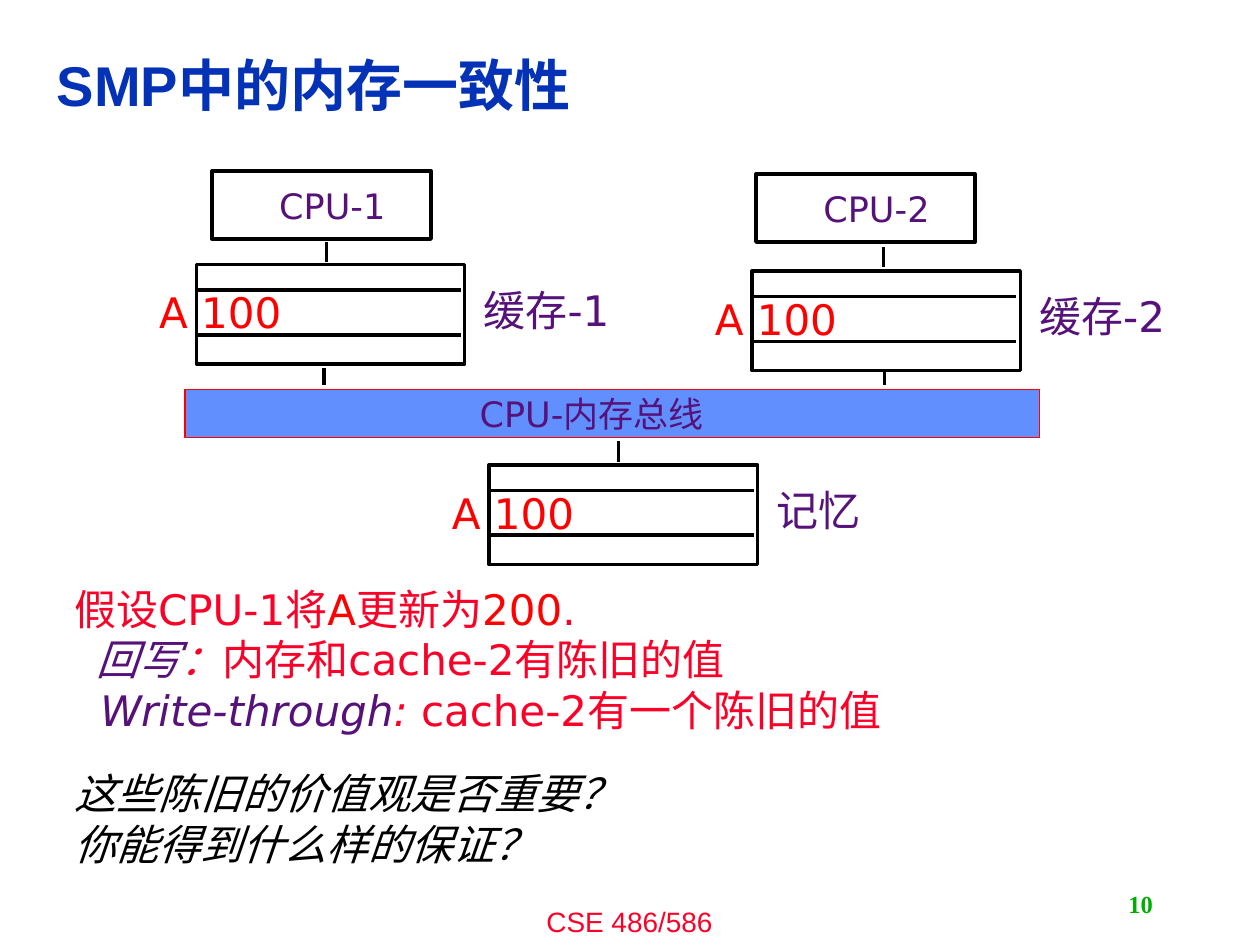
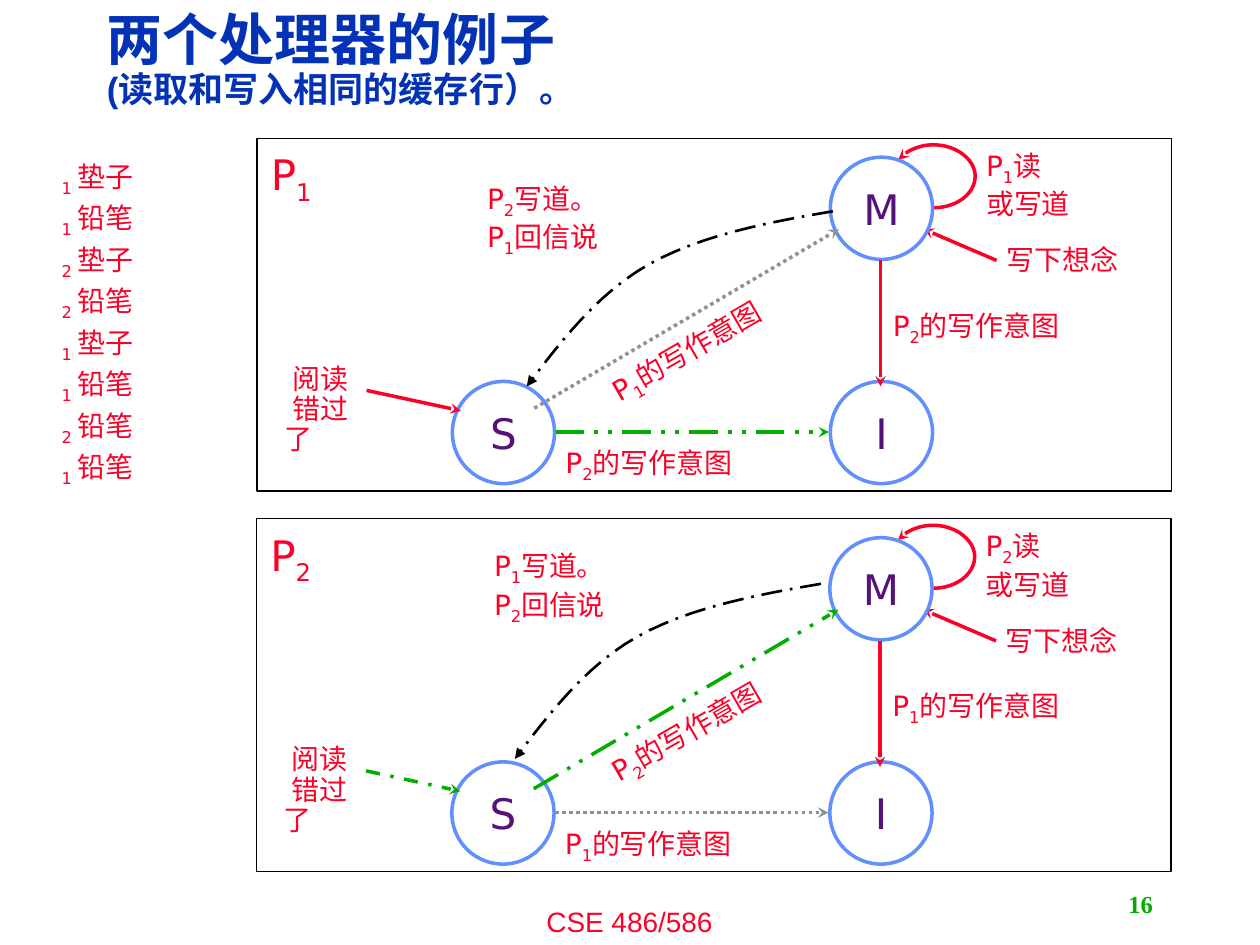
from dataclasses import dataclass

from lxml import etree
from pptx import Presentation
from pptx import util as u
from pptx.dml.color import RGBColor
from pptx.enum import dml, shapes, text
from pptx.oxml import ns


@dataclass(frozen=True)
class Theme:
    title: str = "0332B7"
    label: str = "56127A"
    accent: str = "FC0128"
    value: str = "FF0000"
    ink: str = "000000"
    paper: str = "FFFFFF"
    blue: str = "618FFD"
    green: str = "00AE00"
    grey: str = "919191"
    heading_font: str = "Arial"
    body_font: str = "DejaVu Sans"
    number_font: str = "Times New Roman"
    title_size: int = 32
    large: int = 24
    medium: int = 20
    small: int = 16
    number_size: int = 14
    heavy: float = 2
    medium_line: float = 1.5
    thin: float = 0.75


T = Theme()
DASH = dml.MSO_LINE


@dataclass(frozen=True)
class Stroke:
    color: str = T.ink
    width: float = T.heavy
    dash: object = None
    head: str = ""
    tail: str = ""


@dataclass(frozen=True)
class Processor:
    """One state diagram; the shifts move the write-back note and its arc."""
    own: int
    other: int
    left: float
    top: float
    read_miss: Stroke
    upgrade: Stroke
    invalidate: Stroke
    note_shift: tuple = (0, 0)
    arc_shift: tuple = (0, 0)


RED_ARROW = Stroke(T.accent, tail="stealth")
GREY_ARROW = Stroke(T.grey, dash=DASH.ROUND_DOT, tail="stealth")
GREEN_ARROW = Stroke(T.green, dash=DASH.DASH_DOT_DOT, tail="stealth")
GREEN_READ = Stroke(T.green, dash=DASH.DASH_DOT, tail="stealth")
BLACK_ARC = Stroke(T.ink, T.medium_line, DASH.LONG_DASH_DOT, tail="triangle")
RED_LOOP = Stroke(T.accent, head="stealth")

PROCESSORS = [
    Processor(1, 2, 5.18, 2.79, RED_ARROW, GREY_ARROW, GREEN_ARROW),
    Processor(2, 1, 5.17, 10.46, GREEN_READ, GREEN_ARROW, GREY_ARROW,
              note_shift=(0.15, -0.26), arc_shift=(-0.23, -0.16)),
]
ACCESSES = ["~1 ~垫子", "~1 ~铅笔", "~2 ~垫子", "~2 ~铅笔",
            "~1 ~垫子", "~1 ~铅笔", "~2 ~铅笔", "~1 ~铅笔"]
SELF_LOOP = [(12.93, 0.43), (13.08, 0.25), (13.36, 0.13), (13.64, 0.13),
             (14.1, 0.13), (14.48, 0.43), (14.48, 0.76),
             (14.48, 1.12), (14.1, 1.4), (13.64, 1.4)]
WRITE_BACK_ARC = [(11.61, 1.47), (10.26, 1.7), (8.94, 1.96), (7.9, 2.54),
                  (6.88, 3.12), (6.15, 4.06), (5.44, 5.0)]


def cm(*lengths):
    return [u.Cm(length) for length in lengths]


def style_run(run, size, color, font=T.body_font, bold=False, italic=False):
    run.font.size = u.Pt(size)
    run.font.name = font
    run.font.bold = bold
    run.font.italic = italic
    run.font.color.rgb = RGBColor.from_string(color)


def write(paragraph, markup, size, color, **style):
    """Write text in which ~n~ marks a subscript."""
    for index, piece in enumerate(markup.split("~")):
        if piece:
            run = paragraph.add_run()
            run.text = piece
            style_run(run, size, color, **style)
            if index % 2:
                run._r.get_or_add_rPr().set("baseline", "-25000")


def paragraphs(frame, count):
    return [frame.paragraphs[0]] + [frame.add_paragraph() for _ in range(count - 1)]


def label(slide, box, lines, size=T.small, color=T.accent, rotation=0,
          align=text.PP_ALIGN.LEFT, indent=0, spacing=None, **style):
    area = slide.shapes.add_textbox(*cm(*box))
    area.rotation = rotation
    frame = area.text_frame
    frame.word_wrap = True
    for paragraph, line in zip(paragraphs(frame, len(lines)), lines):
        paragraph.alignment = align
        paragraph.line_spacing = spacing
        if indent:
            paragraph._p.get_or_add_pPr().set("indent", str(u.Cm(indent)))
        write(paragraph, line, size, color, **style)
    return area


def apply_stroke(shape, stroke):
    shape.line.color.rgb = RGBColor.from_string(stroke.color)
    shape.line.width = u.Pt(stroke.width)
    if stroke.dash:
        shape.line.dash_style = stroke.dash
    outline = shape._element.spPr.find(ns.qn("a:ln"))
    for tag, kind in (("a:headEnd", stroke.head), ("a:tailEnd", stroke.tail)):
        if kind:
            etree.SubElement(outline, ns.qn(tag), type=kind)


def block(slide, kind, box, stroke=Stroke(), fill=None, caption="", size=T.large, inset=None):
    """Draw a shape; its caption is centred, or starts at the inset."""
    shape = slide.shapes.add_shape(kind, *cm(*box))
    shape.shadow.inherit = False
    if fill:
        shape.fill.solid()
        shape.fill.fore_color.rgb = RGBColor.from_string(fill)
    else:
        shape.fill.background()
    apply_stroke(shape, stroke)
    if caption:
        frame = shape.text_frame
        frame.margin_left = u.Cm(inset or 0)
        frame.margin_right = frame.margin_top = frame.margin_bottom = 0
        frame.vertical_anchor = text.MSO_ANCHOR.MIDDLE
        paragraph = frame.paragraphs[0]
        paragraph.alignment = text.PP_ALIGN.LEFT if inset else text.PP_ALIGN.CENTER
        write(paragraph, caption, size, T.label)


def link(slide, start, end, stroke=Stroke()):
    line = slide.shapes.add_connector(shapes.MSO_CONNECTOR.STRAIGHT, *cm(*start, *end))
    apply_stroke(line, stroke)
    etree.SubElement(line._element.spPr, ns.qn("a:effectLst"))


def bezier(points, steps=12):
    """Sample a chain of cubic curves that share their end points."""
    samples = [points[0]]
    for first in range(0, len(points) - 1, 3):
        a, b, c, d = points[first:first + 4]
        for step in range(1, steps + 1):
            t = step / steps
            weights = ((1 - t) ** 3, 3 * t * (1 - t) ** 2, 3 * t * t * (1 - t), t ** 3)
            samples.append(tuple(sum(w * p for w, p in zip(weights, axis))
                                 for axis in zip(a, b, c, d)))
    return samples


def curve(slide, points, stroke):
    start, *rest = [tuple(cm(*point)) for point in bezier(points)]
    builder = slide.shapes.build_freeform(*start)
    builder.add_line_segments(rest, close=False)
    shape = builder.convert_to_shape()
    shape.shadow.inherit = False
    shape.fill.background()
    apply_stroke(shape, stroke)


def place(placeholder, box):
    placeholder.left, placeholder.top, placeholder.width, placeholder.height = cm(*box)
    placeholder.text_frame.auto_size = text.MSO_AUTO_SIZE.NONE


def list_item(paragraph, indent=0):
    properties = paragraph._p.get_or_add_pPr()
    properties.set("marL", str(u.Cm(indent)))
    properties.set("indent", "0")
    etree.SubElement(properties, ns.qn("a:buNone"))
    paragraph.space_before = u.Pt(0)


def new_slide(deck, title, title_box, number, subtitle_size=T.title_size):
    slide = deck.slides.add_slide(deck.slide_layouts[1])
    heading = slide.shapes.title
    place(heading, title_box)
    heading.text_frame.vertical_anchor = text.MSO_ANCHOR.MIDDLE
    paragraph = heading.text_frame.paragraphs[0]
    paragraph.text = title
    paragraph.alignment = text.PP_ALIGN.LEFT
    paragraph.line_spacing = 0.9
    for run, size in zip(paragraph.runs, (T.title_size, subtitle_size)):
        style_run(run, size, T.title, T.heading_font, bold=True)
    label(slide, (8.46, 18.11, 8.46, 0.94), ["CSE 486/586"],
          align=text.PP_ALIGN.CENTER, font=T.heading_font)
    page = label(slide, (18.21, 17.81, 5.28, 0.81), [number], T.number_size, T.green,
                 align=text.PP_ALIGN.RIGHT, font=T.number_font, bold=True)
    page.text_frame.vertical_anchor = text.MSO_ANCHOR.MIDDLE
    return slide


def memory(slide, left, top, name):
    """Draw a store holding the line A, with its name on the right."""
    block(slide, shapes.MSO_SHAPE.RECTANGLE, (left, top, 5.41, 2.01))
    for offset in (0.52, 1.42):
        link(slide, (left, top + offset), (left + 5.33, top + offset))
    label(slide, (left - 1, top + 0.33, 4.65, 1.27), ["A 100"], T.large, T.value)
    label(slide, (left + 5.54, top + 0.28, 4, 1.27), [name], T.large, T.label)


def coherence_slide(deck):
    slide = new_slide(deck, "SMP中的内存一致性", (0.89, 0.84, 19.89, 1.9), "10")
    rectangle = shapes.MSO_SHAPE.RECTANGLE
    for left, top, name in ((4.27, 3.45, "CPU-1"), (15.24, 3.51, "CPU-2")):
        block(slide, rectangle, (left, top, 4.42, 1.37), caption=name, size=T.medium, inset=1.36)
    for left, top, name in ((3.96, 5.33, "缓存-1"), (15.16, 5.46, "缓存-2"),
                            (9.86, 9.37, "记忆")):
        memory(slide, left, top, name)
    block(slide, rectangle, (3.73, 7.85, 17.22, 0.97), Stroke(T.value, T.thin), T.blue,
          "CPU-内存总线", T.medium, inset=5.94)
    for x, top, bottom in ((6.58, 4.88, 5.28), (6.53, 7.42, 7.77), (17.81, 4.98, 5.38),
                           (17.83, 7.47, 7.77), (12.47, 8.89, 9.32)):
        link(slide, (x, top), (x, bottom))

    body = slide.placeholders[1]
    place(body, (1.24, 11.63, 23.52, 6.07))
    statements = [
        (0, 0, [("假设CPU-1将", T.accent, False), ("A", T.value, False),
                ("更新为", T.accent, False), ("200", T.value, False), (".", T.accent, False)]),
        (0.45, 0, [("回写", T.label, True), ("：", T.accent, True),
                   ("内存和cache-2有陈旧的值", T.accent, False)]),
        (0.53, 0, [("Write-through", T.label, True), (": ", T.accent, True),
                   ("cache-2有一个陈旧的值", T.accent, False)]),
        (0, 19, [("这些陈旧的价值观是否重要？", T.ink, True)]),
        (0, 0, [("你能得到什么样的保证？", T.ink, True)]),
    ]
    lines = paragraphs(body.text_frame, len(statements))
    for paragraph, (indent, gap, parts) in zip(lines, statements):
        list_item(paragraph, indent)
        paragraph.space_before = u.Pt(gap)
        for words, color, italic in parts:
            write(paragraph, words, T.large, color, italic=italic)


def state_diagram(slide, cpu):
    def at(x, y, *size):
        return (cpu.left + x, cpu.top + y, *size)

    def moved(points, shift=(0, 0)):
        return [at(x + shift[0], y + shift[1]) for x, y in points]

    block(slide, shapes.MSO_SHAPE.RECTANGLE, at(0, 0, 18.44, 7.11), Stroke(width=T.thin))
    curve(slide, moved(SELF_LOOP), RED_LOOP)
    link(slide, at(14.91, 2.46), at(13.44, 1.83), RED_ARROW)
    for state, x, y in (("M", 11.56, 0.38), ("S", 3.94, 4.9), ("I", 11.56, 4.9)):
        block(slide, shapes.MSO_SHAPE.OVAL, at(x, y, 2.06, 2.06), Stroke(T.blue),
              T.paper, state)
    link(slide, at(6.02, 5.92), at(11.53, 5.92), cpu.invalidate)
    link(slide, at(12.57, 2.46), at(12.57, 5), RED_ARROW)
    link(slide, at(5.59, 5.44), at(11.73, 1.83), cpu.upgrade)
    link(slide, at(2.21, 5.08), at(4.11, 5.49), cpu.read_miss)
    curve(slide, moved(WRITE_BACK_ARC, cpu.arc_shift), BLACK_ARC)

    own, other = f"P~{cpu.own}~", f"P~{cpu.other}~"
    note_x, note_y = cpu.note_shift
    label(slide, at(0.03, 0.08, 1.7, 1.27), [own], T.large)
    label(slide, at(4.39 + note_x, 0.74 + note_y, 4.52, 1.63), [other + "写道。", own + "回信说"])
    label(slide, at(14.45, 0.08, 3, 1.63), [own + "读", "或写道"])
    label(slide, at(14.86, 1.98, 3.51, 0.94), ["写下想念"])
    label(slide, at(0.3, 4.45, 2.13, 1.47), ["阅读", "错过了"], indent=0.16, spacing=0.9)
    for who, x, y, rotation in ((own, 6.63, 3.45, -30), (other, 5.97, 6.07, 0),
                                (other, 12.57, 3.3, 0)):
        label(slide, at(x, y, 5.33, 0.94), [who + "的写作意图"], rotation=rotation)


def example_slide(deck):
    slide = new_slide(deck, "两个处理器的例子\v(读取和写入相同的缓存行）。",
                      (1.9, 0.2, 20.27, 2.06), "16", T.medium)
    accesses = slide.placeholders[1]
    place(accesses, (0.99, 3.02, 3.76, 7.1))
    for paragraph, access in zip(paragraphs(accesses.text_frame, len(ACCESSES)), ACCESSES):
        list_item(paragraph)
        paragraph.line_spacing = u.Pt(23.7)
        write(paragraph, access, T.small, T.accent)
    for cpu in PROCESSORS:
        state_diagram(slide, cpu)


def main():
    deck = Presentation()
    deck.slide_width, deck.slide_height = cm(25.4, 19.05)
    coherence_slide(deck)
    example_slide(deck)
    deck.save("out.pptx")


if __name__ == "__main__":
    main()
